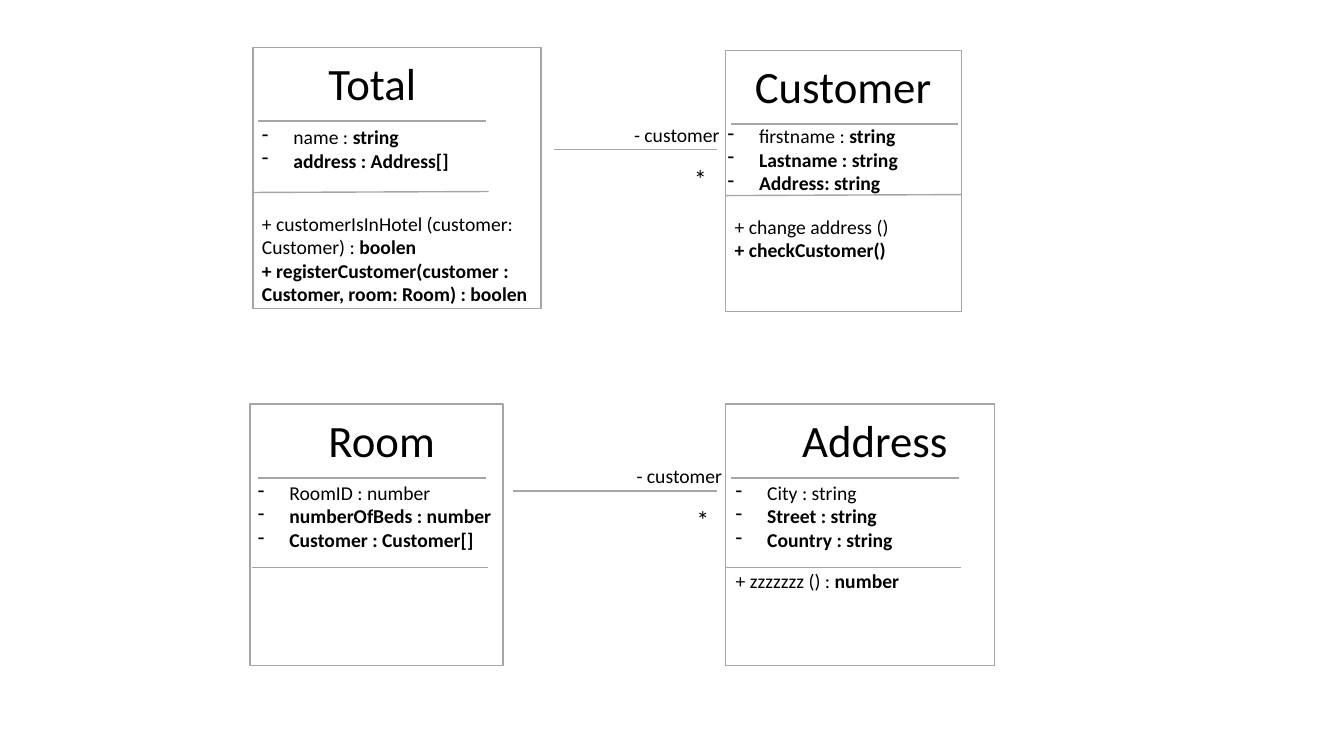
from dataclasses import dataclass

from lxml import etree
from pptx import Presentation
from pptx.dml.color import RGBColor
from pptx.enum.shapes import MSO_CONNECTOR, MSO_SHAPE
from pptx.enum.text import MSO_AUTO_SIZE
from pptx.oxml.ns import qn
from pptx.util import Pt

STRAIGHT = MSO_CONNECTOR.STRAIGHT
RECTANGLE = MSO_SHAPE.RECTANGLE
GROW = MSO_AUTO_SIZE.SHAPE_TO_FIT_TEXT


@dataclass(frozen=True)
class Theme:
    font: str = "Calibri"
    ink: RGBColor = RGBColor(0x00, 0x00, 0x00)
    paper: RGBColor = RGBColor(0xFF, 0xFF, 0xFF)
    border: RGBColor = RGBColor(0xA5, 0xA5, 0xA5)
    rule: RGBColor = RGBColor(0xA6, 0xA6, 0xA6)
    title: int = 32
    body: int = 14
    star: int = 18
    line: float = 1
    indent: float = 22.5


@dataclass(frozen=True)
class Part:
    """Text block of a class: lines hold plain text, then bold after a bar."""
    left: float
    top: float
    width: float
    lines: tuple
    wrap: bool = False


@dataclass(frozen=True)
class UmlClass:
    left: float
    top: float
    width: float
    title: Part
    header_rule: float
    attributes: Part
    body_rule: tuple
    rise: float = 0
    operations: Part | None = None


class Diagram:
    def __init__(self, page, theme):
        self.page = page
        self.theme = theme

    def frame(self, left, top, width, height):
        box = self.page.shapes.add_shape(
            RECTANGLE, Pt(left), Pt(top), Pt(width), Pt(height))
        box.shadow.inherit = False
        box.fill.solid()
        box.fill.fore_color.rgb = self.theme.paper
        box.line.color.rgb = self.theme.border
        box.line.width = Pt(self.theme.line)

    def line(self, left, top, length, rise=0):
        rule = self.page.shapes.add_connector(
            STRAIGHT, Pt(left), Pt(top), Pt(left + length), Pt(top - rise))
        rule.line.color.rgb = self.theme.rule
        rule.line.width = Pt(self.theme.line)
        etree.SubElement(rule.element.spPr, qn("a:effectLst"))

    def text(self, part, size, bulleted=False):
        height = len(part.lines) * size * 1.2 + 7.2
        box = self.page.shapes.add_textbox(
            Pt(part.left), Pt(part.top), Pt(part.width), Pt(height))
        frame = box.text_frame
        frame.word_wrap = part.wrap
        frame.auto_size = GROW
        frame.text = "\n".join(line.replace("|", "") for line in part.lines)
        for para, line in zip(frame.paragraphs, part.lines):
            self.spans(para, line, size)
            if bulleted:
                self.bullet(para)

    def spans(self, para, line, size):
        plain, _, bold = line.partition("|")
        para.text = plain or bold
        if plain and bold:
            para.add_run().text = bold
        for span in para.runs:
            span.font.name = self.theme.font
            span.font.size = Pt(size)
            span.font.color.rgb = self.theme.ink
        if bold:
            para.runs[-1].font.bold = True

    def bullet(self, para):
        indent = Pt(self.theme.indent)
        properties = para._p.get_or_add_pPr()
        properties.set("marL", str(indent))
        properties.set("indent", str(-indent))
        etree.SubElement(properties, qn("a:buChar")).set("char", "-")

    def uml_class(self, item):
        self.frame(item.left, item.top, item.width, 186.5)
        self.text(item.title, self.theme.title)
        self.line(item.header_rule, item.top + 52.6, 162.6)
        self.text(item.attributes, self.theme.body, bulleted=True)
        self.line(*item.body_rule, 168.4, item.rise)
        if item.operations:
            self.text(item.operations, self.theme.body)

    def association(self, left, top, label_left):
        self.line(left, top, 512 - left)
        self.text(Part(label_left + 43, top + 6.2, 23.8, ("*",)), self.theme.star)
        self.text(Part(label_left, top - 22.7, 76.3, ("- customer",)), self.theme.body)


CLASSES = (
    UmlClass(
        180.7, 33.8, 205.9, Part(227.5, 36, 77.8, ("Total",)), 184.3,
        Part(180, 85.7, 149, ("name : |string", "|address : Address[]")),
        (180.7, 137.5), 0.7,
        Part(180, 147.6, 205.2, (
            "+ customerIsInHotel (customer:", "Customer) : |boolen",
            "|+ registerCustomer(customer :", "|Customer, room: Room) : boolen"))),
    UmlClass(
        518.4, 36, 168.5, Part(532.1, 38.2, 141.8, ("Customer",)), 522,
        Part(512.6, 85, 137.5, (
            "firstname : |string", "|Lastname : string", "|Address: string")),
        (518.4, 139.7), 0.7,
        Part(517.7, 149.8, 126.7, ("+ change address ()", "|+ checkCustomer()"))),
    UmlClass(
        178.6, 288.7, 180.7, Part(227.5, 290.9, 91.4, ("Room",)), 184.3,
        Part(177.1, 339.8, 182.2, (
            "RoomID : number", "|numberOfBeds : number", "|Customer : Customer[]")),
        (180, 405.4)),
    UmlClass(
        518.4, 288.7, 192.2, Part(565.9, 290.9, 119.5, ("Address",)), 522.5,
        Part(518.4, 339.8, 166.3, (
            "City : string", "|Street : string", "|Country : string"), wrap=True),
        (518.4, 405.4),
        operations=Part(518.4, 402.5, 131.8, ("+ zzzzzzz () : |number",))),
)
ASSOCIATIONS = ((396, 106.6, 445.8), (366.5, 350.6, 447.6))


def main():
    deck = Presentation()
    deck.slide_width, deck.slide_height = Pt(960), Pt(540)
    page = deck.slides.add_slide(deck.slide_layouts[6])
    diagram = Diagram(page, Theme())
    for item in CLASSES:
        diagram.uml_class(item)
    for association in ASSOCIATIONS:
        diagram.association(*association)
    deck.save("out.pptx")


if __name__ == "__main__":
    main()
